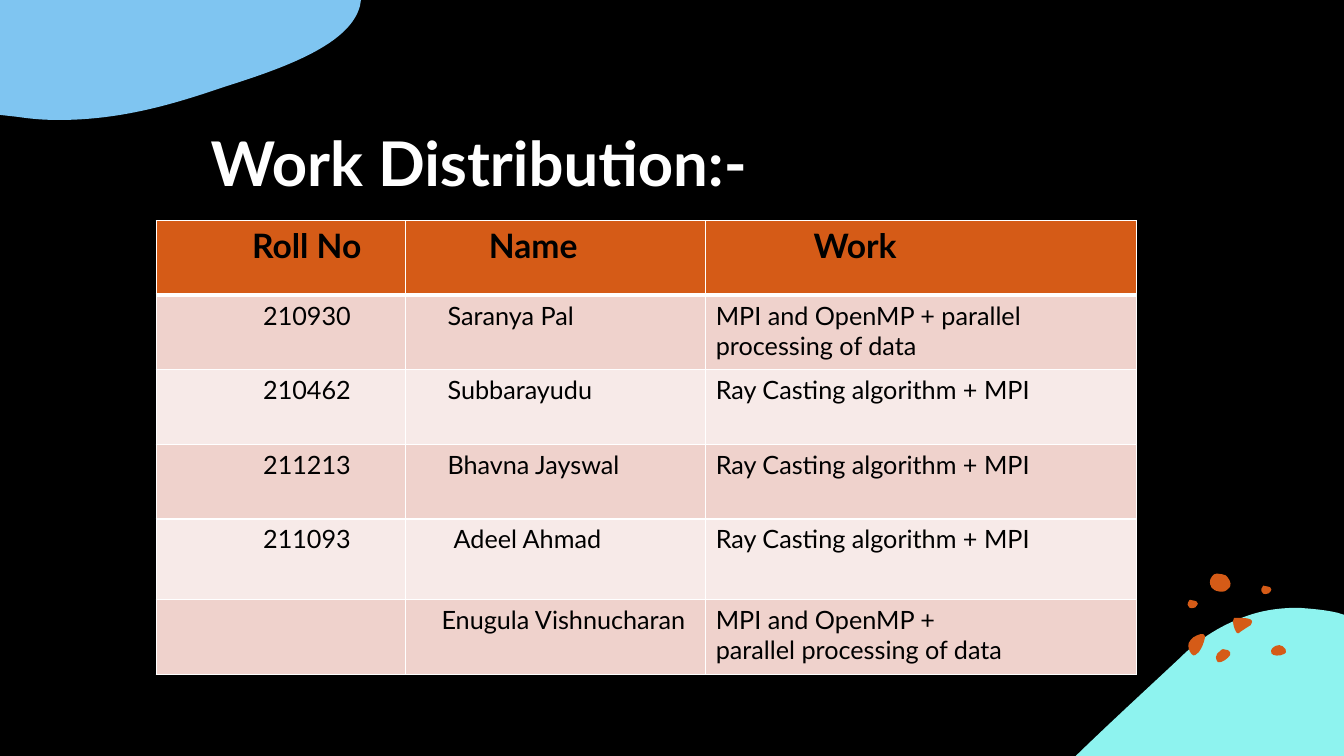
from lxml import etree
from pptx import Presentation
from pptx.dml.color import RGBColor
from pptx.enum.text import MSO_ANCHOR, MSO_AUTO_SIZE, PP_ALIGN
from pptx.oxml.ns import qn
from pptx.util import Inches, Pt

LEFT = PP_ALIGN.LEFT
TOP = MSO_ANCHOR.TOP
FIXED = MSO_AUTO_SIZE.NONE

BLACK = RGBColor(0x00, 0x00, 0x00)
WHITE = RGBColor(0xFF, 0xFF, 0xFF)
BLUE = RGBColor(0x7F, 0xC5, 0xF1)
AQUA = RGBColor(0x8E, 0xF3, 0xEF)
RUST = RGBColor(0xD5, 0x5B, 0x17)
ROSE = RGBColor(0xEF, 0xD2, 0xCC)
PALE = RGBColor(0xF7, 0xEA, 0xE8)

FONT = "Lato"

# Outlines: a start point, then lines (2 numbers) and curves (6 numbers)
CLOUD = [(0, 0), (3.58, 0), (3.57, 0.06),
         (3.47, 0.44, 2.83, 0.67, 2.23, 0.86),
         (1.73, 1.03, 1.21, 1.19, 0.58, 1.19),
         (0.44, 1.19, 0.31, 1.18, 0.18, 1.16), (0, 1.14)]
HILL = [(12.88, 6.03), (13.01, 6.04, 13.14, 6.05, 13.27, 6.08),
        (13.33, 6.1), (13.33, 7.5), (10.67, 7.5), (10.68, 7.49),
        (11.02, 7.16, 11.37, 6.84, 11.69, 6.54),
        (11.91, 6.32, 12.14, 6.19, 12.37, 6.11),
        (12.54, 6.05, 12.71, 6.03, 12.88, 6.03)]
DOT = [(12.51, 5.86), (12.51, 5.86, 12.51, 5.82, 12.53, 5.81),
       (12.55, 5.81, 12.56, 5.81, 12.58, 5.82),
       (12.59, 5.82, 12.61, 5.83, 12.61, 5.85),
       (12.61, 5.86, 12.6, 5.87, 12.59, 5.88),
       (12.59, 5.88, 12.59, 5.89, 12.57, 5.89),
       (12.56, 5.89, 12.54, 5.9, 12.53, 5.89),
       (12.52, 5.87, 12.51, 5.87, 12.51, 5.86)]
SPOTS = [
    [(12.13, 6.44), (12.15, 6.44, 12.16, 6.44, 12.18, 6.45),
     (12.2, 6.46, 12.21, 6.48, 12.2, 6.5),
     (12.18, 6.53, 12.12, 6.58, 12.08, 6.57),
     (12.07, 6.56, 12.06, 6.54, 12.06, 6.52),
     (12.06, 6.5, 12.08, 6.47, 12.1, 6.46),
     (12.11, 6.45, 12.12, 6.44, 12.13, 6.44)],
    [(11.91, 6.29), (11.93, 6.29, 11.95, 6.29, 11.95, 6.31),
     (11.95, 6.32, 11.95, 6.32, 11.95, 6.33),
     (11.94, 6.38, 11.92, 6.43, 11.89, 6.47),
     (11.87, 6.49, 11.84, 6.52, 11.82, 6.49),
     (11.79, 6.46, 11.78, 6.41, 11.79, 6.38),
     (11.8, 6.35, 11.82, 6.34, 11.84, 6.32),
     (11.85, 6.32, 11.88, 6.29, 11.91, 6.29)],
    [(12.69, 6.4), (12.71, 6.4, 12.74, 6.42, 12.75, 6.44),
     (12.76, 6.46, 12.76, 6.48, 12.73, 6.49),
     (12.7, 6.51, 12.62, 6.51, 12.61, 6.48),
     (12.6, 6.46, 12.61, 6.44, 12.62, 6.43),
     (12.64, 6.41, 12.66, 6.4, 12.69, 6.4)],
    [(12.01, 5.81), (12, 5.81, 11.99, 5.75, 12.02, 5.72),
     (12.04, 5.7, 12.04, 5.69, 12.07, 5.69),
     (12.1, 5.69, 12.14, 5.7, 12.16, 5.71),
     (12.18, 5.73, 12.22, 5.78, 12.2, 5.82),
     (12.17, 5.85, 12.16, 5.87, 12.12, 5.87),
     (12.09, 5.87, 12.04, 5.86, 12.03, 5.84),
     (12.01, 5.83, 12.01, 5.82, 12.01, 5.81)],
    [(12.28, 6.13), (12.34, 6.13, 12.45, 6.13, 12.41, 6.19),
     (12.41, 6.2, 12.4, 6.21, 12.39, 6.21),
     (12.36, 6.23, 12.33, 6.25, 12.3, 6.27),
     (12.29, 6.28, 12.28, 6.29, 12.27, 6.28),
     (12.27, 6.28, 12.26, 6.27, 12.26, 6.27),
     (12.24, 6.23, 12.23, 6.2, 12.23, 6.16),
     (12.23, 6.15, 12.23, 6.14, 12.24, 6.13)],
]

COLS = [2.47, 2.98, 4.27]
ROWS = [0.74, 0.74, 0.74, 0.74, 0.8, 0.74]
HEADS = ["Roll No", "Name", "Work"]
TEAM = [
    ["210930", "Saranya Pal", "MPI and OpenMP + parallel processing of data"],
    ["210462", "Subbarayudu", "Ray Casting algorithm + MPI"],
    ["211213", "Bhavna Jayswal", "Ray Casting algorithm + MPI"],
    ["211093", "Adeel Ahmad", "Ray Casting algorithm + MPI"],
    ["", "Enugula Vishnucharan",
     "MPI and OpenMP + parallel processing of data"],
]
HEAD_PAD = [0.95, 0.83, 1.07]
BODY_PAD = [1.06, 0.42, 0.1]
NAME_PAD = {4: 0.48, 5: 0.36}  # rows whose name is set off differently


def put_text(frame, text, size=18, color=BLACK, bold=False):
    para = frame.paragraphs[0]
    para.alignment = LEFT
    run = para.add_run()
    run.text = text
    font = run.font
    font.name, font.size, font.bold = FONT, Pt(size), bold
    font.color.rgb = color


def add_blob(shapes, outline, color, dx=0, dy=0):
    spots = [[(Inches(x + dx), Inches(y + dy))
              for x, y in zip(seg[::2], seg[1::2])] for seg in outline]
    pen = shapes.build_freeform(*spots[0][0])
    pen.add_line_segments([seg[-1] for seg in spots[1:]], close=True)
    blob = pen.convert_to_shape()
    # Bend the segments that have control points
    lines = list(blob.element.iter(qn("a:lnTo")))
    for line, seg in zip(lines, spots[1:]):
        if len(seg) == 3:
            line.tag = qn("a:cubicBezTo")
            for i, (x, y) in enumerate(seg[:2]):
                line.insert(i, etree.Element(
                    qn("a:pt"), x=str(x - blob.left), y=str(y - blob.top)))
    blob.shadow.inherit = False
    blob.fill.solid()
    blob.fill.fore_color.rgb = color
    blob.line.fill.background()


def add_title(slide, text):
    title = slide.shapes.title
    title.left, title.top = Inches(1.99), Inches(1.19)
    title.width, title.height = Inches(6.83), Inches(0.84)
    frame = title.text_frame
    frame.auto_size, frame.vertical_anchor = FIXED, TOP
    put_text(frame, text, size=44, color=WHITE, bold=True)


def set_edges(cell, top=1, bottom=1):
    props = cell._tc.get_or_add_tcPr()
    for i, (side, width) in enumerate(
            [("L", 1), ("R", 1), ("T", top), ("B", bottom)]):
        edge = etree.Element(qn("a:ln" + side), w=str(Pt(width)))
        fill = etree.SubElement(edge, qn("a:solidFill"))
        etree.SubElement(fill, qn("a:srgbClr"), val=str(WHITE))
        props.insert(i, edge)


def fill_cell(cell, text, color, pad, **style):
    cell.fill.solid()
    cell.fill.fore_color.rgb = color
    cell.margin_left = Inches(pad)
    if text:
        put_text(cell.text_frame, text, **style)


def add_team(slide):
    table = slide.shapes.add_table(
        len(ROWS), len(COLS), Inches(1.55), Inches(2.19),
        Inches(sum(COLS)), Inches(sum(ROWS))).table
    for col, width in zip(table.columns, COLS):
        col.width = Inches(width)
    for row, height in zip(table.rows, ROWS):
        row.height = Inches(height)
    for c, head in enumerate(HEADS):
        cell = table.cell(0, c)
        fill_cell(cell, head, RUST, HEAD_PAD[c], size=24, bold=True)
        set_edges(cell, bottom=3)
    for r, member in enumerate(TEAM, 1):
        for c, text in enumerate(member):
            pad = NAME_PAD.get(r, BODY_PAD[c]) if c == 1 else BODY_PAD[c]
            cell = table.cell(r, c)
            fill_cell(cell, text, ROSE if r % 2 else PALE, pad)
            set_edges(cell, top=3 if r == 1 else 1)
    # The last task wraps before "parallel"
    table.cell(len(TEAM), 2).margin_right = Inches(1.24)


def main():
    deck = Presentation()
    deck.slide_width, deck.slide_height = Inches(13.33), Inches(7.5)
    slide = deck.slides.add_slide(deck.slide_layouts[5])
    back = slide.background.fill
    back.solid()
    back.fore_color.rgb = BLACK

    # Corner decoration
    add_blob(slide.shapes, CLOUD, BLUE)
    add_blob(slide.shapes, HILL, AQUA)
    group = slide.shapes.add_group_shape().shapes
    for spot in SPOTS:
        add_blob(group, spot, RUST)
    for dx, dy in [(0, 0), (-0.73, 0.14)]:
        add_blob(group, DOT, RUST, dx, dy)

    # Content
    add_title(slide, "Work Distribution:-")
    add_team(slide)
    deck.save("out.pptx")


if __name__ == "__main__":
    main()
